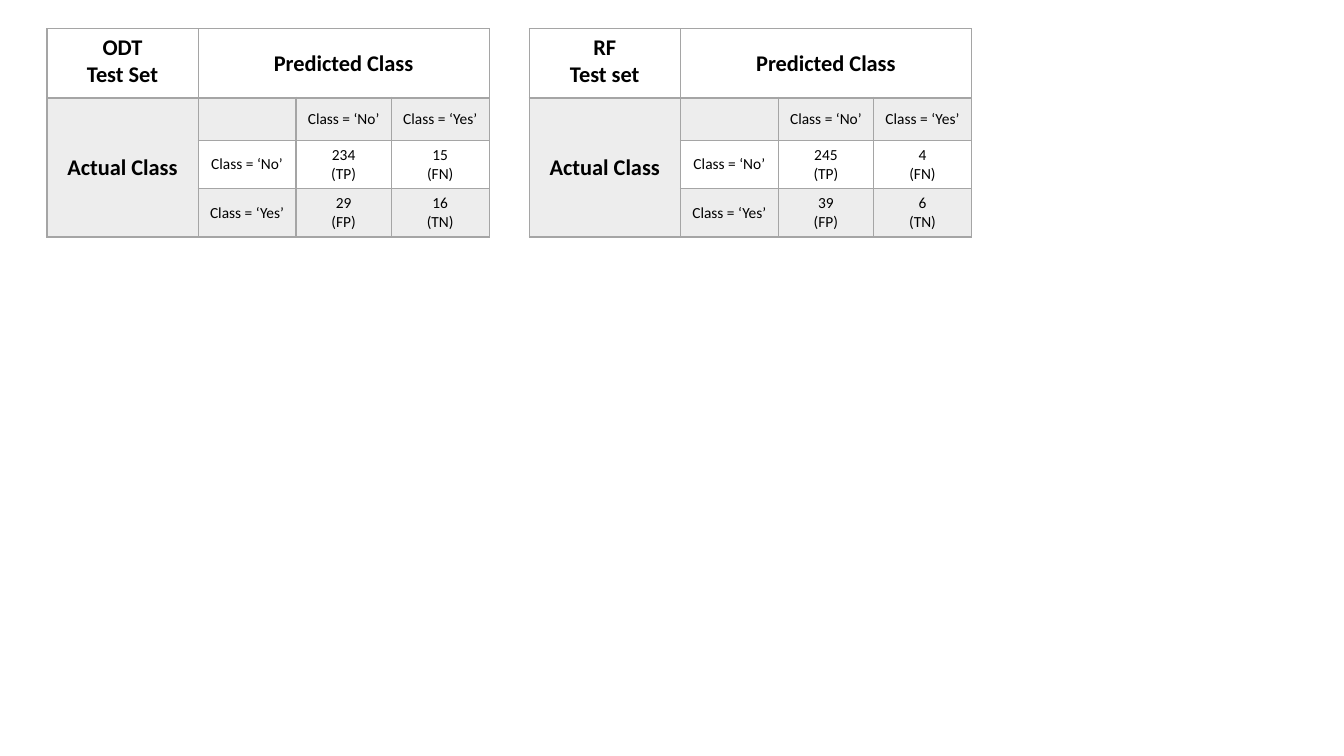
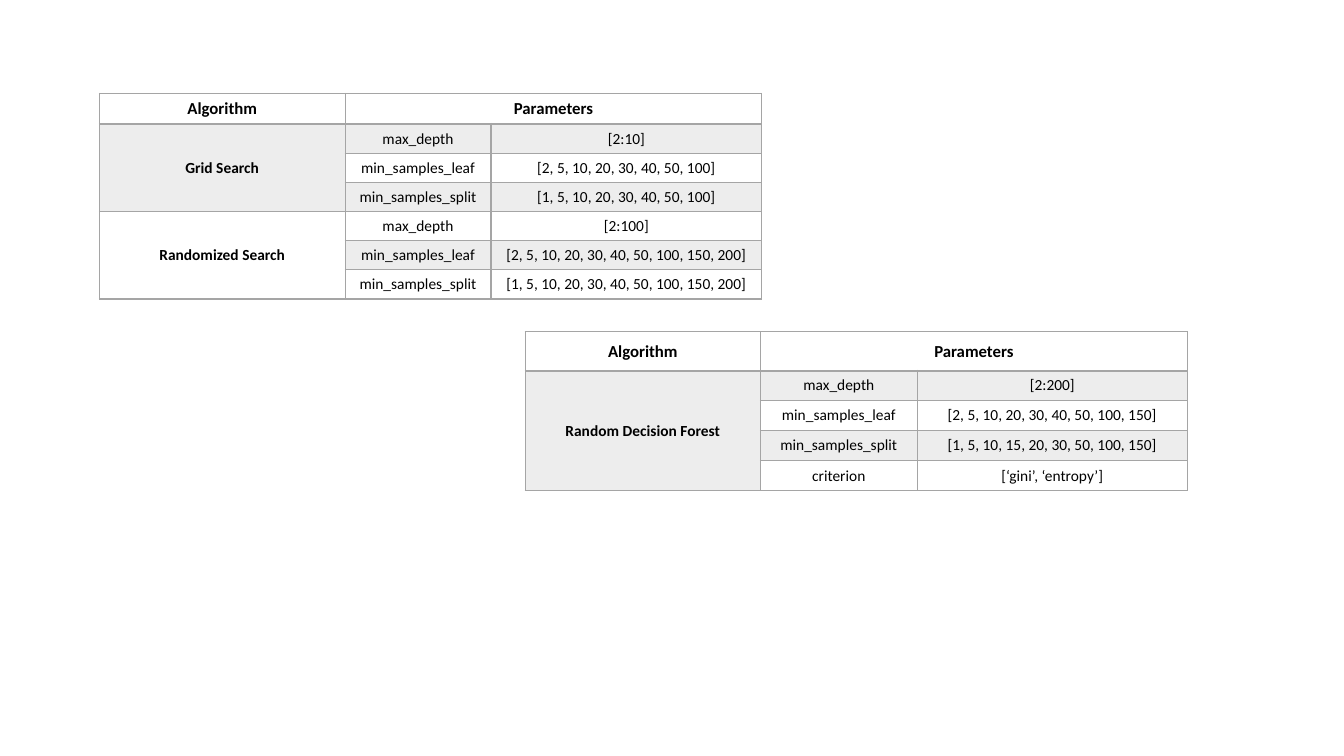
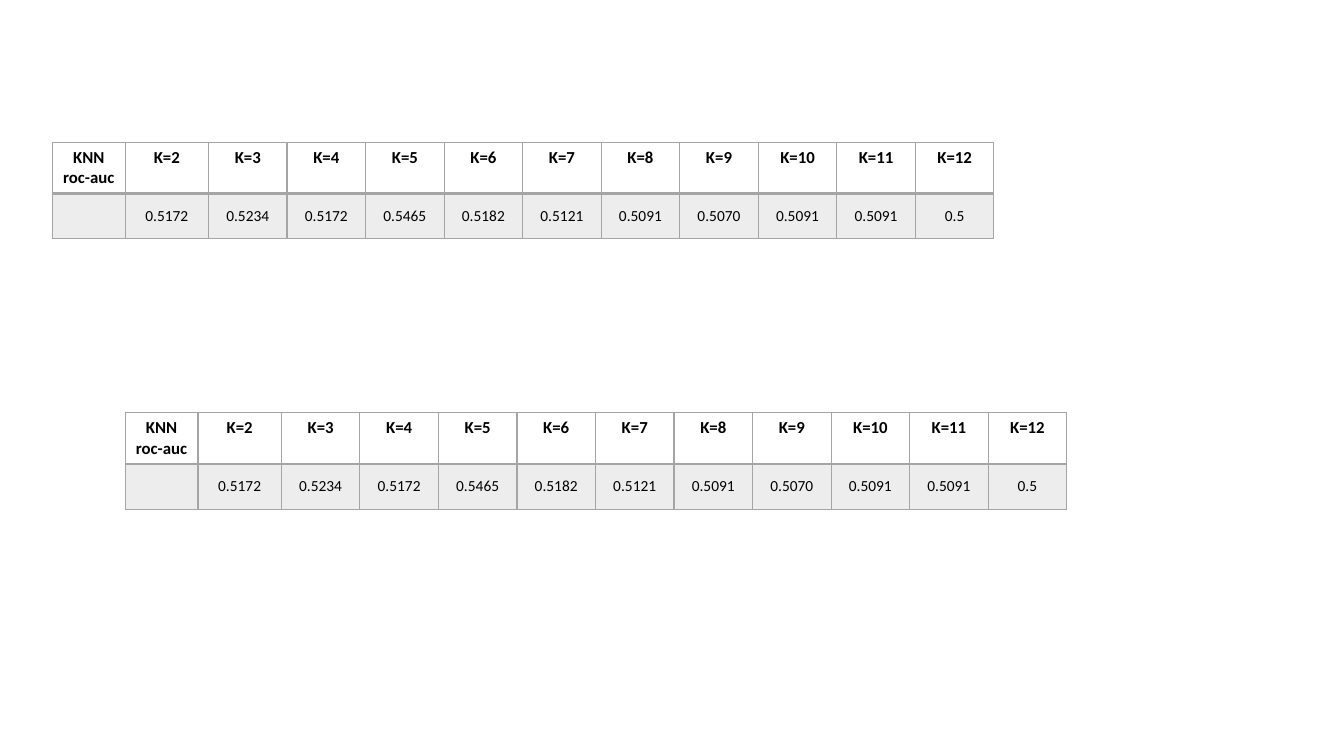
from lxml import etree
from pptx import Presentation
from pptx.dml.color import RGBColor
from pptx.enum.text import MSO_ANCHOR, PP_ALIGN
from pptx.oxml.ns import qn
from pptx.util import Pt

CENTER = PP_ALIGN.CENTER
TOP, MIDDLE = MSO_ANCHOR.TOP, MSO_ANCHOR.MIDDLE
COLORS = {"text": "000000", "gray": "A5A5A5"}
FONT = "Calibri"
BODY_SIZE = 11
SHADE_ALPHA = 20
BLANK_LAYOUT = 6


def set_borders(cell, bottom):
    """Draw 1 pt gray sides, with the given bottom width in points."""
    tcPr = cell._tc.get_or_add_tcPr()
    for side, width in (("lnL", 1), ("lnR", 1), ("lnT", 1), ("lnB", bottom)):
        ln = etree.SubElement(tcPr, qn(f"a:{side}"), w=str(Pt(width)))
        fill = etree.SubElement(ln, qn("a:solidFill"))
        etree.SubElement(fill, qn("a:srgbClr"), val=COLORS["gray"])


def set_fill(cell, shaded):
    if not shaded:
        cell.fill.background()
        return
    cell.fill.solid()
    cell.fill.fore_color.rgb = RGBColor.from_string(COLORS["gray"])
    color = cell._tc.tcPr.find(f"{qn('a:solidFill')}/{qn('a:srgbClr')}")
    etree.SubElement(color, qn("a:alpha"), val=str(SHADE_ALPHA * 1000))


def set_text(cell, text, size, bold, anchor):
    cell.vertical_anchor = anchor
    tf = cell.text_frame
    tf.text = text
    for p in tf.paragraphs:
        p.alignment = CENTER
        if not text:
            p._p.get_or_add_endParaRPr().set("sz", str(size * 100))
        for r in p.runs:
            r.font.name = FONT
            r.font.size = Pt(size)
            r.font.bold = bold
            r.font.color.rgb = RGBColor.from_string(COLORS["text"])


def add_grid(slide, left, top, widths, heights, rows, spans=(),
             head_size=12, label_size=BODY_SIZE, top_heads=0):
    """Add a banded table; spans are (row, column, last row, last column).

    The first top_heads header cells are anchored at the top.
    """
    frame = slide.shapes.add_table(len(rows), len(widths), Pt(left), Pt(top),
                                   Pt(sum(widths)), Pt(sum(heights)))
    table = frame.table
    table.first_row = table.horz_banding = False
    for column, width in zip(table.columns, widths):
        column.width = Pt(width)
    for row, height in zip(table.rows, heights):
        row.height = Pt(height)
    for i, texts in enumerate(rows):
        for j, text in enumerate(texts):
            cell = table.cell(i, j)
            head, label = i == 0, j == 0
            size = head_size if head else label_size if label else BODY_SIZE
            set_borders(cell, 2 if head else 1)
            set_fill(cell, i % 2 == 1)
            set_text(cell, text, size, head or label,
                     TOP if head and j < top_heads else MIDDLE)
    for i, j, last_i, last_j in spans:
        table.cell(i, j).merge(table.cell(last_i, last_j))


def add_confusion_matrix(slide, left, top, name, counts):
    tp, fn, fp, tn = counts
    rows = [
        [name, "Predicted Class", "", ""],
        ["Actual Class", "", "Class = ‘No’", "Class = ‘Yes’"],
        ["", "Class = ‘No’", f"{tp}\n(TP)", f"{fn}\n(FN)"],
        ["", "Class = ‘Yes’", f"{fp}\n(FP)", f"{tn}\n(TN)"],
    ]
    add_grid(slide, left, top, [108, 70, 68, 70], [49.3, 30.2, 34.6, 34.6], rows,
             spans=[(0, 1, 0, 3), (1, 0, 3, 0)],
             head_size=16, label_size=16, top_heads=1)


def add_parameter_table(slide, left, top, widths, heights, searches):
    """Searches map an algorithm to its (parameter, values) pairs."""
    rows = [["Algorithm", "Parameters", ""]]
    spans = [(0, 1, 0, 2)]
    for algorithm, params in searches.items():
        first = len(rows)
        for k, (param, values) in enumerate(params):
            rows.append([algorithm if k == 0 else "", param, values])
        spans.append((first, 0, len(rows) - 1, 0))
    add_grid(slide, left, top, widths, heights, rows, spans)


def add_knn_table(slide, left, top, scores):
    rows = [["KNN\nroc-auc"] + [f"K={k}" for k in range(2, len(scores) + 2)],
            [""] + scores]
    widths = [52, 59.6] + [56.1] * (len(scores) - 1)
    add_grid(slide, left, top, widths, [36.5, 32.4], rows, top_heads=len(widths))


def main():
    prs = Presentation()
    prs.slide_width, prs.slide_height = Pt(960), Pt(540)
    layout = prs.slide_layouts[BLANK_LAYOUT]
    matrices, parameters, knn = (prs.slides.add_slide(layout) for _ in range(3))

    add_confusion_matrix(matrices, 33.5, 20.6, "ODT\nTest Set", (234, 15, 29, 16))
    add_confusion_matrix(matrices, 378, 20.6, "RF\nTest set", (245, 4, 39, 6))

    add_parameter_table(
        parameters, 71, 66.8, [175.5, 104.2, 193.5], [21.9] + [20.75] * 6, {
            "Grid Search": [
                ("max_depth", "[2:10]"),
                ("min_samples_leaf", "[2, 5, 10, 20, 30, 40, 50, 100]"),
                ("min_samples_split", "[1, 5, 10, 20, 30, 40, 50, 100]")],
            "Randomized Search": [
                ("max_depth", "[2:100]"),
                ("min_samples_leaf", "[2, 5, 10, 20, 30, 40, 50, 100, 150, 200]"),
                ("min_samples_split", "[1, 5, 10, 20, 30, 40, 50, 100, 150, 200]")],
        })
    add_parameter_table(
        parameters, 375.2, 237, [168, 112, 193], [28, 20.8] + [21.6] * 3, {
            "Random Decision Forest": [
                ("max_depth", "[2:200]"),
                ("min_samples_leaf", "[2, 5, 10, 20, 30, 40, 50, 100, 150]"),
                ("min_samples_split", "[1, 5, 10, 15, 20, 30, 50, 100, 150]"),
                ("criterion", "[‘gini’, ‘entropy’]")],
        })

    scores = ["0.5172", "0.5234", "0.5172", "0.5465", "0.5182", "0.5121",
              "0.5091", "0.5070", "0.5091", "0.5091", "0.5"]
    for left, top in ((37.4, 101.6), (89.4, 294.8)):
        add_knn_table(knn, left, top, scores)

    prs.save("out.pptx")


if __name__ == "__main__":
    main()
